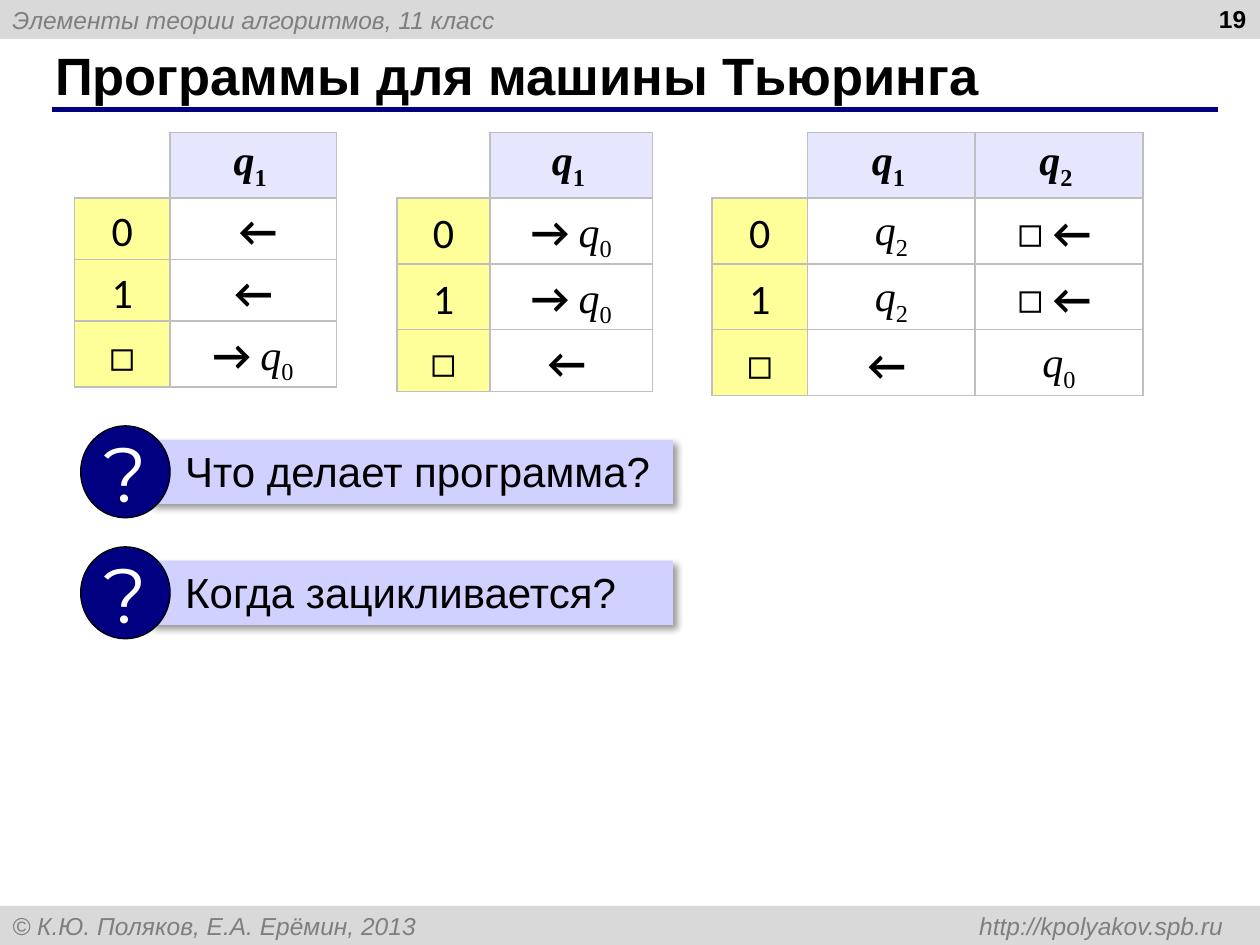
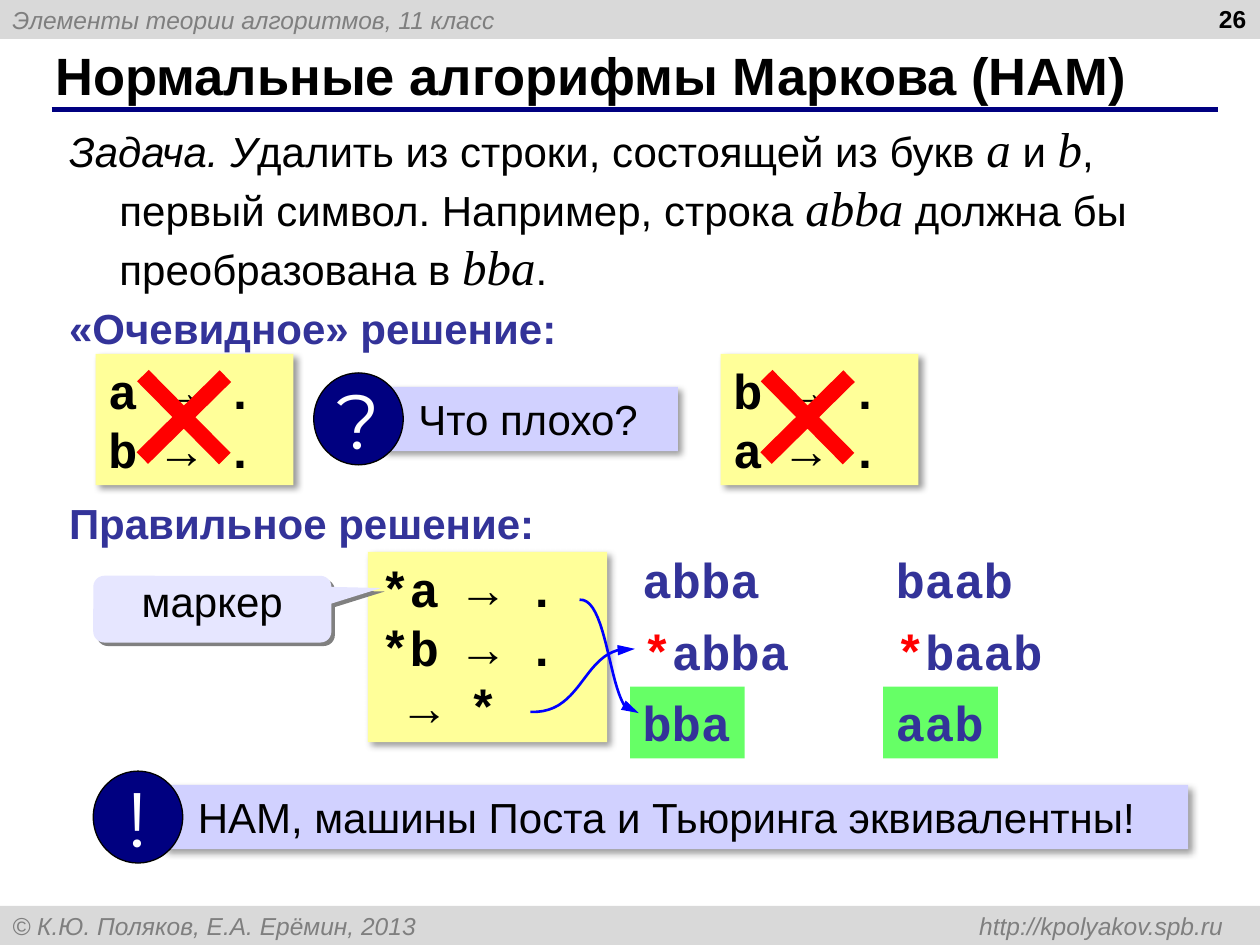
"""Two lesson slides on Turing machine programs and Markov algorithms."""
from dataclasses import dataclass

import lxml.etree
import pptx
import pptx.dml.color
import pptx.enum.shapes
import pptx.enum.text
import pptx.oxml
import pptx.oxml.ns
import pptx.util

Inches, Pt = pptx.util.Inches, pptx.util.Pt
RGB = pptx.dml.color.RGBColor.from_string
qn = pptx.oxml.ns.qn
SHAPE = pptx.enum.shapes.MSO_SHAPE
ALIGN = pptx.enum.text.PP_ALIGN
ANCHOR = pptx.enum.text.MSO_ANCHOR


@dataclass(frozen=True)
class Theme:
    black: str = "000000"
    white: str = "FFFFFF"
    navy: str = "000080"
    heading: str = "333399"
    red: str = "FF0000"
    arrow: str = "0000FF"
    band: str = "D9D9D9"
    band_text: str = "7F7F7F"
    grid: str = "BFBFBF"
    state: str = "E6E6FF"
    symbol: str = "FFFF99"
    strip: str = "D1D1FF"
    result: str = "66FF66"
    sans: str = "Arial"
    serif: str = "Times New Roman"
    mono: str = "Courier New"
    table: str = "Calibri"
    badge: str = "Montserrat"
    small: int = 14
    body: int = 24
    code: int = 28
    title: int = 30
    sign: int = 44


T = Theme()
SOFT = ("000000", 40, 4, 3)
HARD = ("808080", 100, 0, 2.8)


def write(frame, paragraphs, align=ALIGN.LEFT, spacing=None, hanging=0, tab=None, **style):
    base = dict(font=T.sans, size=T.body, color=T.black, bold=False, italic=False, baseline=0)
    for number, runs in enumerate(paragraphs):
        paragraph = frame.add_paragraph() if number else frame.paragraphs[0]
        paragraph.alignment = align
        if spacing:
            paragraph.line_spacing = spacing
        properties = paragraph._p.get_or_add_pPr()
        if hanging:
            properties.set("marL", str(Inches(hanging)))
            properties.set("indent", str(-Inches(hanging)))
        if tab:
            stops = lxml.etree.SubElement(properties, qn("a:tabLst"))
            lxml.etree.SubElement(stops, qn("a:tab"), pos=str(Inches(tab)), algn="r")
        for text, change in [(runs, {})] if isinstance(runs, str) else runs:
            look = base | style | change
            run = paragraph.add_run()
            run.text = text
            run.font.name, run.font.size = look["font"], Pt(look["size"])
            run.font.bold, run.font.italic = look["bold"], look["italic"]
            run.font.color.rgb = RGB(look["color"])
            if look["baseline"]:
                run._r.get_or_add_rPr().set("baseline", str(look["baseline"] * 1000))


def add_box(slide, at, paragraphs=(), kind=SHAPE.RECTANGLE, fill=None, line=None, shadow=None,
            anchor=ANCHOR.TOP, wrap=True, inset=0.1, **style):
    place = [Inches(value) for value in at]
    if fill:
        box = slide.shapes.add_shape(kind, *place)
        box.fill.solid()
        box.fill.fore_color.rgb = RGB(fill)
        box.shadow.inherit = False
        if line:
            box.line.color.rgb = RGB(line)
            box.line.width = Pt(0.75)
        else:
            box.line.fill.background()
    else:
        box = slide.shapes.add_textbox(*place)
    if shadow:
        color, alpha, blur, distance = shadow
        effects = box._element.spPr.find(qn("a:effectLst"))
        outer = lxml.etree.SubElement(effects, qn("a:outerShdw"), blurRad=str(Pt(blur)),
                                      dist=str(Pt(distance)), dir="2700000", algn="tl", rotWithShape="0")
        tint = lxml.etree.SubElement(outer, qn("a:srgbClr"), val=color)
        lxml.etree.SubElement(tint, qn("a:alpha"), val=str(alpha * 1000))
    frame = box.text_frame
    frame.word_wrap = wrap
    frame.vertical_anchor = anchor
    frame.margin_left = Inches(inset)
    write(frame, paragraphs, **style)
    return box


deck = pptx.Presentation()
deck.slide_width, deck.slide_height = Inches(10), Inches(7.5)

pages = [
    ("19", "Программы для машины Тьюринга", [
        (1.19, 3.49, 4.15, "?", "Что делает программа?"),
        (1.19, 4.45, 4.15, "?", "Когда зацикливается?"),
    ]),
    ("26", "Нормальные алгорифмы Маркова (НАМ)", [
        (3.04, 3.07, 2.34, "?", "Что плохо?"),
        (1.29, 6.23, 8.14, "!", "НАМ, машины Поста и Тьюринга эквивалентны!"),
    ]),
]
band_style = dict(fill=T.band, anchor=ANCHOR.MIDDLE, size=T.small, color=T.band_text, italic=True)
for page_number, title, strips in pages:
    slide = deck.slides.add_slide(deck.slide_layouts[6])
    add_box(slide, (0, 0, 10, 0.31), ["Элементы теории алгоритмов, 11 класс"], **band_style)
    add_box(slide, (0, 7.19, 10, 0.31), ["© К.Ю. Поляков, Е.А. Ерёмин, 2013 \thttp://kpolyakov.spb.ru"],
            tab=9.61, **band_style)
    rule = slide.shapes.add_connector(pptx.enum.shapes.MSO_CONNECTOR.STRAIGHT,
                                      Inches(0.41), Inches(0.87), Inches(9.67), Inches(0.87))
    rule.line.color.rgb = RGB(T.navy)
    rule.line.width = Pt(3)
    lxml.etree.SubElement(rule._element.spPr, qn("a:effectLst"))
    add_box(slide, (0.34, 0.33, 9.16, 0.52), [title], anchor=ANCHOR.MIDDLE, size=T.title, bold=True)
    add_box(slide, (7.66, -0.02, 2.33, 0.52), [page_number], align=ALIGN.RIGHT, size=T.small, bold=True)
    for left, top, width, sign, message in strips:
        add_box(slide, (left, top, width, 0.51), [message], fill=T.strip, shadow=SOFT, inset=0.28)
        add_box(slide, (left - 0.55, top - 0.11, 0.71, 0.73), [sign], kind=SHAPE.OVAL, fill=T.navy,
                line=T.black, anchor=ANCHOR.MIDDLE, wrap=False, align=ALIGN.CENTER,
                font=T.badge, size=T.sign, color=T.white)

turing, markov = deck.slides

bold = dict(bold=True)
letter = dict(font=T.serif, italic=True)
index = dict(font=T.serif, baseline=-25)
state = {n: [("q", letter), (n, index)] for n in "012"}
heads = {n: [("q", letter | bold), (n + " ", index | bold)] for n in "12"}
go_left = [("← ", bold)]
stop_right = [("→ ", bold)] + state["0"]
erase_left = [("◻ ", {})] + go_left
programs = [
    (0.59, (0.76, 1.32), [
        ["", heads["1"]],
        ["0", [(" ←", bold)]],
        ["1", [(" ← ", bold)]],
        ["◻", stop_right],
    ]),
    (3.15, (0.74, 1.29), [
        ["", heads["1"]],
        ["0", stop_right],
        ["1", stop_right],
        ["◻", go_left],
    ]),
    (5.65, (0.76, 1.33, 1.33), [
        ["", heads["1"], heads["2"]],
        ["0", state["2"], erase_left],
        ["1", state["2"], erase_left],
        ["◻", go_left, state["0"]],
    ]),
]
for left, widths, rows in programs:
    table = turing.shapes.add_table(len(rows), len(widths), Inches(left), Inches(1.05),
                                    Inches(sum(widths)), Inches(1.99)).table
    table.first_row = table.horz_banding = False
    for column, width in enumerate(widths):
        table.columns[column].width = Inches(width)
    for r, row in enumerate(rows):
        table.rows[r].height = Inches(0.49 if r else 0.52)
        for c, content in enumerate(row):
            cell = table.cell(r, c)
            cell.vertical_anchor = ANCHOR.MIDDLE
            cell.margin_left = cell.margin_right = Inches(0.07)
            cell.margin_top = cell.margin_bottom = 0
            corner = r == c == 0
            if not corner:
                write(cell.text_frame, [content], align=ALIGN.CENTER,
                      spacing=1.15 if r else None, font=T.table)
            for side in ("lnR", "lnB") if corner else ("lnL", "lnR", "lnT", "lnB"):
                border = lxml.etree.SubElement(cell._tc.get_or_add_tcPr(), qn("a:" + side), w=str(Pt(1)))
                paint = lxml.etree.SubElement(border, qn("a:solidFill"))
                lxml.etree.SubElement(paint, qn("a:srgbClr"), val=T.grid)
            if corner or (r and c):
                cell.fill.background()
            else:
                cell.fill.solid()
                cell.fill.fore_color.rgb = RGB(T.symbol if r else T.state)

word = dict(font=T.serif, size=T.code, italic=True)
add_box(markov, (0.45, 0.89, 9.23, 1.51), [[
    ("Задача. У", dict(italic=True)),
    ("далить из строки, состоящей из букв ", {}),
    ("a", word),
    (" и ", {}),
    ("b", word),
    (", первый символ. Например, строка ", {}),
    ("abba", word),
    (" должна бы преобразована в ", {}),
    ("bba", word),
    (".", {}),
]], hanging=0.4)
for top, width, heading in [(2.35, 4.11, "«Очевидное» решение:"), (3.9, 3.93, "Правильное решение:")]:
    add_box(markov, (0.45, top, width, 0.51), [heading], wrap=False, color=T.heading, bold=True)

code = dict(font=T.mono, size=T.code, bold=True)
rule_sets = [
    ((0.76, 2.81, 1.57, 1.04), ["a → .", "b → ."]),
    ((5.72, 2.81, 1.57, 1.04), ["b → .", "a → ."]),
    ((2.92, 4.38, 1.9, 1.51), ["*a → .", "*b → .", " → *"]),
]
for at, rules in rule_sets:
    add_box(markov, at, rules, fill=T.symbol, shadow=SOFT, anchor=ANCHOR.MIDDLE, align=ALIGN.JUSTIFY, **code)
for left in (0.83, 5.78):
    cross = add_box(markov, (left, 2.68, 1.26, 1.26), kind=SHAPE.MATH_PLUS, fill=T.red)
    cross.adjustments[0] = 0.103
    cross.rotation = 315.4

for left, source_word in [(5, "abba"), (7.01, "baab")]:
    steps = [
        (1.14, None, source_word),
        (1.38, None, [("*", dict(color=T.red)), (source_word, {})]),
        (0.91, T.result, source_word[1:]),
    ]
    for number, (width, fill, step) in enumerate(steps):
        add_box(markov, (left, 4.31 + 0.57 * number, width, 0.57), [step], fill=fill, wrap=False,
                color=T.heading, **code)

rule_arrows = [
    [(4.21, 5.65), (4.65, 5.67), (4.62, 5.11), (5.04, 5.15)],
    [(4.6, 4.76), (4.85, 4.74), (4.83, 5.74), (5.07, 5.66)],
]
for controls in rule_arrows:
    points = []
    for step in range(25):
        t = step / 24
        weights = ((1 - t) ** 3, 3 * t * (1 - t) ** 2, 3 * t * t * (1 - t), t ** 3)
        points.append([Inches(sum(w * p[axis] for w, p in zip(weights, controls))) for axis in (0, 1)])
    builder = markov.shapes.build_freeform(*points[0])
    builder.add_line_segments(points[1:], close=False)
    curve = builder.convert_to_shape()
    curve.shadow.inherit = False
    curve.fill.background()
    curve.line.color.rgb = RGB(T.arrow)
    curve.line.width = Pt(1.5)
    outline = curve._element.spPr.find(qn("a:ln"))
    lxml.etree.SubElement(outline, qn("a:tailEnd"), type="triangle", w="med", len="lg")

marker = add_box(markov, (0.74, 4.57, 1.89, 0.53), ["маркер"], kind=SHAPE.ROUNDED_RECTANGULAR_CALLOUT,
                 fill=T.state, shadow=HARD, align=ALIGN.CENTER, spacing=0.8)
for number, value in enumerate((0.709, -0.316, 0.167)):
    marker.adjustments[number] = value

deck.save("out.pptx")
